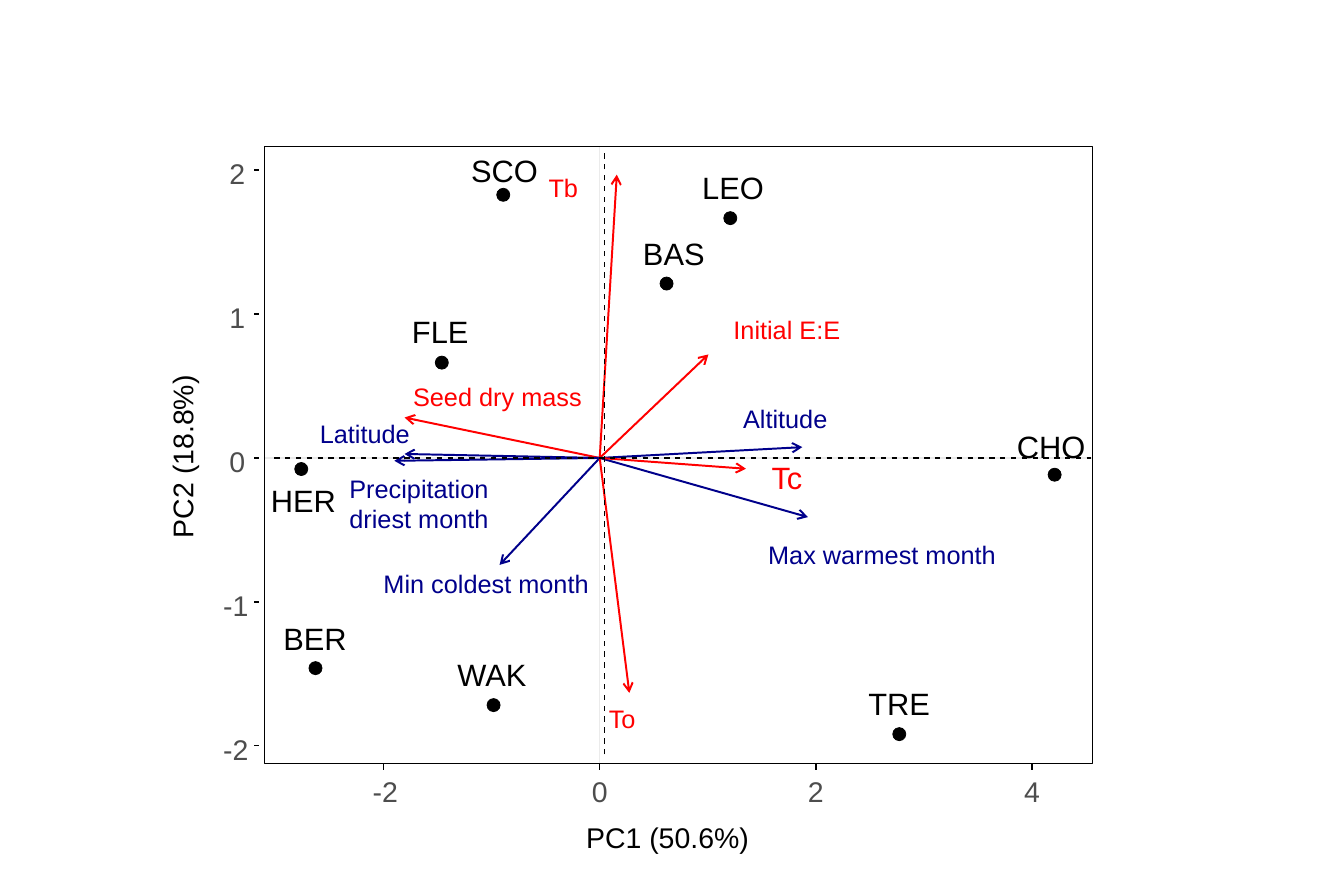
from lxml.etree import SubElement
from pptx import Presentation
from pptx.dml.color import RGBColor
from pptx.enum.shapes import MSO_CONNECTOR, MSO_SHAPE
from pptx.enum.text import MSO_AUTO_SIZE
from pptx.oxml.ns import qn
from pptx.util import Inches, Pt

COLORS = {
    "ink": "000000",
    "tick": "4D4D4D",
    "grid": "EBEBEB",
    "trait": "FF0000",
    "climate": "00008B",
}
LEFT, TOP, RIGHT, BOTTOM = 4.64, 2.57, 19.2, 13.43
ORIGIN_X, ORIGIN_Y = 10.54, 8.05
UNIT_X, UNIT_Y = 1.9, 2.53
DOT = 0.23

SITES = [
    ("HER", 4.76, 8.46, 1.15, 5.18, 8.13),
    ("BER", 4.98, 10.89, 1.12, 5.43, 11.63),
    ("FLE", 7.24, 5.49, 1, 7.65, 6.26),
    ("SCO", 8.28, 2.66, 1.19, 8.73, 3.31),
    ("WAK", 8.04, 11.53, 1.22, 8.56, 12.28),
    ("BAS", 11.3, 4.13, 1.09, 11.6, 4.87),
    ("LEO", 12.34, 2.97, 1.1, 12.72, 3.72),
    ("CHO", 17.87, 7.52, 1.21, 18.42, 8.23),
    ("TRE", 15.26, 12.04, 1.09, 15.69, 12.79),
]

VECTORS = [
    ("Initial E:E", 12.89, 5.53, 1.9, 32, "trait", 12.45, 6.23),
    ("Seed dry mass", 7.26, 6.7, 2.99, 32, "trait", 7.11, 7.34),
    ("Precipitation\ndriest month", 6.14, 8.31, 3.68, 32, "climate", 6.93, 8.1),
    ("Altitude", 13.06, 7.08, 1.5, 32, "climate", 14.1, 7.86),
    ("Max warmest month", 13.5, 9.47, 4.03, 32, "climate", 14.2, 9.09),
    ("Min coldest month", 6.74, 9.98, 3.64, 32, "climate", 8.78, 9.93),
    ("Latitude", 5.62, 7.36, 1.59, 32, "climate", 7.11, 7.98),
    ("Tb", 9.64, 3.03, 0.52, 32, "trait", 10.84, 3.07),
    ("To", 10.7, 12.37, 0.47, 32, "trait", 11.06, 12.18),
    ("Tc", 13.56, 8.06, 0.55, 39, "trait", 13.11, 8.24),
]


def rgb(name):
    return RGBColor.from_string(COLORS[name])


def add_label(slide, text, x, y, width, size, color, rotation=0):
    lines = text.count("\n") + 1
    s = slide.shapes.add_textbox(
        Inches(x), Inches(y), Inches(width), Inches(size * lines / 59))
    s.rotation = rotation
    tf = s.text_frame
    tf.margin_left = tf.margin_right = tf.margin_top = tf.margin_bottom = 0
    tf.word_wrap = lines > 1
    tf.auto_size = MSO_AUTO_SIZE.SHAPE_TO_FIT_TEXT
    tf.text = text
    for p in tf.paragraphs:
        for r in p.runs:
            r.font.name = "Arial"
            r.font.size = Pt(size)
            r.font.color.rgb = rgb(color)


def add_line(slide, x1, y1, x2, y2, color, weight=1.75):
    s = slide.shapes.add_connector(
        MSO_CONNECTOR.STRAIGHT, Inches(x1), Inches(y1), Inches(x2), Inches(y2))
    s.line.color.rgb = rgb(color)
    s.line.width = Pt(weight)
    props = s._element.spPr
    SubElement(props, qn("a:effectLst"))
    return props.find(qn("a:ln"))


def add_arrow(slide, x, y, color):
    ln = add_line(slide, ORIGIN_X, ORIGIN_Y, x, y, color, 2.5)
    SubElement(ln, qn("a:tailEnd"), type="arrow", w="lg", len="lg")


def add_dashed_line(slide, x1, y1, x2, y2):
    ln = add_line(slide, x1, y1, x2, y2, "ink")
    dashes = SubElement(ln, qn("a:custDash"))
    SubElement(dashes, qn("a:ds"), d="390000", sp="390000")


def add_outline(slide, kind, x, y, width, height, weight, fill=None):
    s = slide.shapes.add_shape(
        kind, Inches(x), Inches(y), Inches(width), Inches(height))
    s.shadow.inherit = False
    s.line.color.rgb = rgb("ink")
    s.line.width = Pt(weight)
    if fill:
        s.fill.solid()
        s.fill.fore_color.rgb = rgb(fill)
    else:
        s.fill.background()


def add_axes(slide):
    for value in range(-2, 3):
        y = ORIGIN_Y - UNIT_Y * value
        x, width = (3.92, 0.45) if value < 0 else (4.03, 0.28)
        add_label(slide, str(value), x, y - 0.25, width, 36, "tick")
        add_line(slide, LEFT - 0.17, y, LEFT - 0.08, y, "ink")
    for value in range(-2, 5, 2):
        x = ORIGIN_X + UNIT_X * value
        shift, width = (0.19, 0.45) if value < 0 else (0.14, 0.28)
        add_label(slide, str(value), x - shift, 13.6, width, 36, "tick")
        add_line(slide, x, BOTTOM + 0.1, x, BOTTOM, "ink")
    add_label(slide, "PC1 (50.6%)", 10.3, 14.42, 2.89, 36, "ink")
    add_label(slide, "PC2 (18.8%)", 1.76, 7.71, 2.89, 36, "ink", 270)


def main():
    prs = Presentation()
    prs.slide_width = Inches(23.62)
    prs.slide_height = Inches(15.75)
    slide = prs.slides.add_slide(prs.slide_layouts[6])

    add_line(slide, LEFT, ORIGIN_Y, RIGHT, ORIGIN_Y, "grid")
    add_line(slide, ORIGIN_X, BOTTOM, ORIGIN_X, TOP, "grid")
    for name, x, y, width, _, _ in SITES:
        add_label(slide, name, x, y, width, 39, "ink")
    for name, x, y, width, size, color, tip_x, tip_y in VECTORS:
        add_label(slide, name, x, y, width, size, color)
        add_arrow(slide, tip_x, tip_y, color)
    add_dashed_line(slide, 4.82, ORIGIN_Y, 19.18, ORIGIN_Y)
    add_dashed_line(slide, 10.62, 13.26, 10.62, 2.68)
    add_axes(slide)
    add_outline(slide, MSO_SHAPE.RECTANGLE, LEFT, TOP,
                RIGHT - LEFT, BOTTOM - TOP, 1.25)
    for _, _, _, _, x, y in SITES:
        add_outline(slide, MSO_SHAPE.OVAL, x, y, DOT, DOT, 1, "ink")

    prs.save("out.pptx")


if __name__ == "__main__":
    main()
